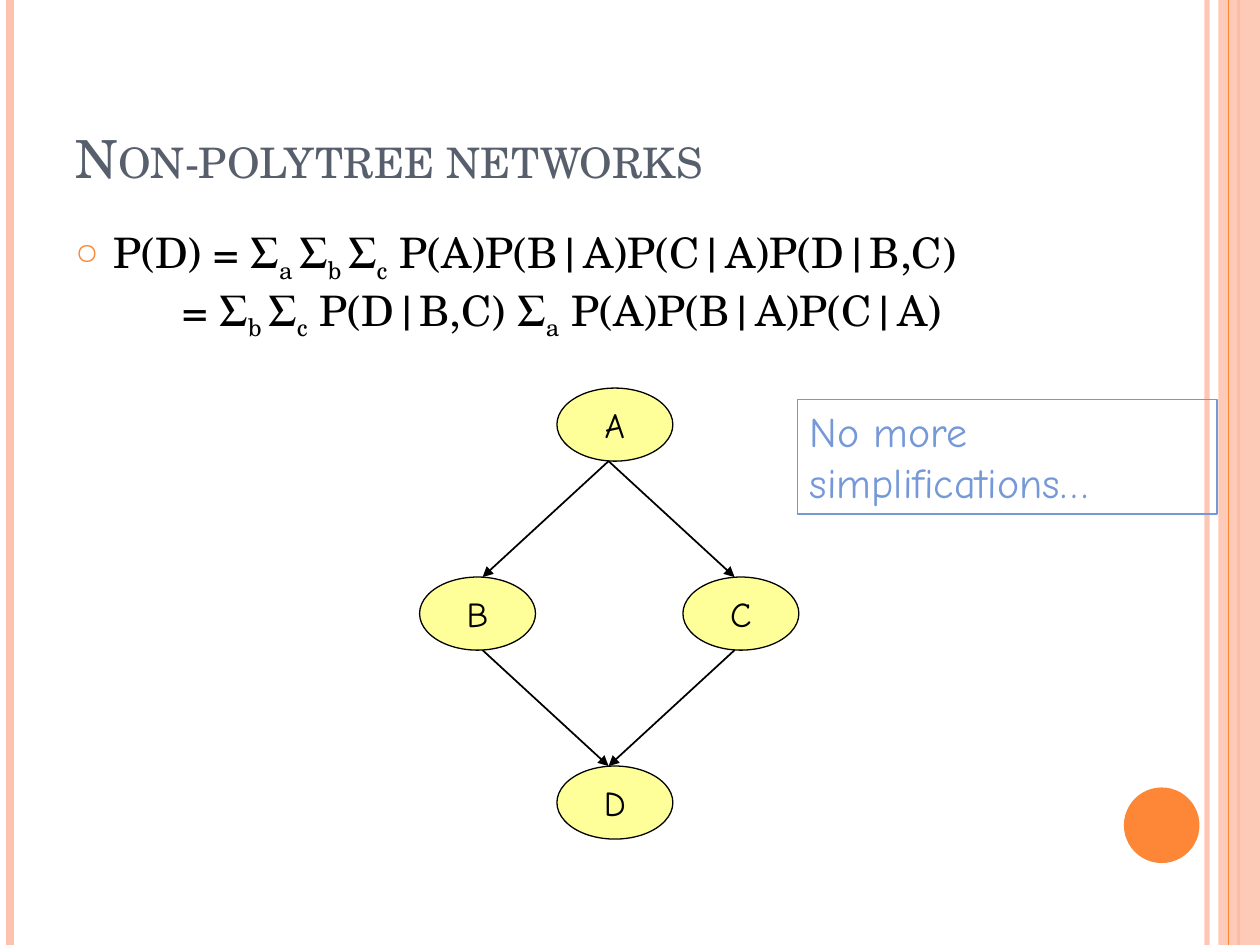
from dataclasses import dataclass

from lxml.etree import SubElement
from pptx import Presentation
from pptx.dml.color import RGBColor
from pptx.enum.shapes import MSO_CONNECTOR as Connector, MSO_SHAPE as Shape
from pptx.enum.text import MSO_ANCHOR as Anchor, PP_ALIGN as Align
from pptx.oxml.ns import qn
from pptx.util import Inches, Pt


@dataclass(frozen=True)
class Theme:
    """Colours, fonts and type sizes of the slide."""

    orange: str = "FE8637"
    peach: str = "FEC3AE"
    slate: str = "575F6D"
    black: str = "000000"
    yellow: str = "FFFF99"
    blue: str = "7598D9"
    serif: str = "TeX Gyre Schola"
    hand: str = "Comic Neue"
    title_size: int = 30
    body_size: int = 24
    node_size: int = 20


THEME = Theme()


def set_values(target, values):
    """Set each attribute of the target from a dict."""
    for name, value in values.items():
        setattr(target, name, value)


def add_element(parent, tag, **attributes):
    """Append a drawing element with the given attributes."""
    return SubElement(parent, qn(tag), attributes)


def set_alpha(fill_parent, percent):
    """Make the solid fill below an element partly transparent."""
    colour = next(fill_parent.iter(qn("a:srgbClr")))
    add_element(colour, "a:alpha", val=str(percent * 1000))


def add_span(para, text, font, size, colour):
    """Add a run of styled text."""
    span = para.add_run()
    span.text = text
    set_values(span.font, {"name": font, "size": Pt(size)})
    span.font.color.rgb = RGBColor.from_string(colour)
    return span


def add_frame(page, box, **values):
    """Add a wrapping text box and return its text frame."""
    frame = page.shapes.add_textbox(*map(Inches, box)).text_frame
    set_values(frame, {"word_wrap": True, **values})
    return frame


def add_line(page, start, end, colour, width):
    """Add a straight line without a shadow."""
    line = page.shapes.add_connector(Connector.STRAIGHT, *map(Inches, (*start, *end)))
    line.line.color.rgb = RGBColor.from_string(colour)
    line.line.width = Pt(width)
    add_element(line._element.spPr, "a:effectLst")
    return line


def add_shape(page, kind, box, fill=None, outline=None):
    """Add a flat preset shape with an optional fill and outline."""
    shape = page.shapes.add_shape(kind, *map(Inches, box))
    shape.shadow.inherit = False
    if fill:
        shape.fill.solid()
        shape.fill.fore_color.rgb = RGBColor.from_string(fill)
    else:
        shape.fill.background()
    if outline:
        shape.line.color.rgb = RGBColor.from_string(outline)
        shape.line.width = Pt(0.75)
    else:
        shape.line.fill.background()
    return shape


def add_decoration(page, box):
    """Draw the edge stripes and the orange disc."""
    left, top, width, height = box
    right, bottom = left + width, top + height

    def stripe(x, colour, weight):
        return add_line(page, (x, top), (x, bottom), colour, weight)

    set_alpha(stripe(right - 0.42, THEME.peach, 3).line._ln, 93)
    stripe(left + 0.08, THEME.peach, 4.5)
    stripe(right - 0.17, THEME.orange, 1.5)
    band = add_shape(page, Shape.RECTANGLE, (right - 0.33, top, 0.33, height), THEME.peach)
    set_alpha(band._element.spPr, 87)
    stripe(right - 0.25, THEME.orange, 0.75)
    add_shape(page, Shape.OVAL, (right - 1.08, bottom - 1.25, 0.6, 0.6), THEME.orange)


def add_title(page, box, text):
    """Write the title in small capitals at the foot of its box."""
    frame = add_frame(page, box, vertical_anchor=Anchor.BOTTOM)
    span = add_span(frame.paragraphs[0], text, THEME.serif, THEME.title_size, THEME.slate)
    span._r.get_or_add_rPr().set("cap", "small")


def add_formula(page, box, lines):
    """Write the bulleted formula, where text between tildes is subscript."""
    frame = add_frame(page, box)
    for index, (text, margin, indent) in enumerate(lines):
        para = frame.add_paragraph() if index else frame.paragraphs[0]
        props = para._p.get_or_add_pPr()
        props.set("marL", str(Inches(margin)))
        props.set("indent", str(Inches(indent)))
        if indent:
            colour = add_element(props, "a:buClr")
            add_element(colour, "a:srgbClr", val=THEME.orange)
            add_element(props, "a:buSzPct", val="70000")
            add_element(props, "a:buChar", char="○")
        for part, piece in enumerate(text.split("~")):
            span = add_span(para, piece, THEME.serif, THEME.body_size, THEME.black)
            if part % 2:
                span._r.get_or_add_rPr().set("baseline", "-25000")


def add_network(page, box):
    """Draw the diamond network of nodes and arrows."""
    left, top, width, height = box
    node_width, node_height = 0.92, 0.58
    row_gap = (height - node_height) / 2
    nodes = {"A": (1.09, 0), "B": (0, 1), "C": (width - node_width, 1), "D": (1.09, 2)}
    ports = {"A": 1.5, "B": 0.5, "C": 2.5, "D": 1.5}
    for name, (x, row) in nodes.items():
        place = (left + x, top + row * row_gap, node_width, node_height)
        node = add_shape(page, Shape.OVAL, place, THEME.yellow, THEME.black)
        frame = node.text_frame
        set_values(frame, {"word_wrap": False, "vertical_anchor": Anchor.MIDDLE})
        para = frame.paragraphs[0]
        para.alignment = Align.CENTER
        add_span(para, name, THEME.hand, THEME.node_size, THEME.black)
    for tail, head in ("AB", "AC", "CD", "BD"):
        start = left + ports[tail], top + nodes[tail][1] * row_gap + node_height
        end = left + ports[head], top + nodes[head][1] * row_gap
        arrow = add_line(page, start, end, THEME.black, 1)
        add_element(arrow.line._ln, "a:tailEnd", type="triangle")


def add_note(page, box, text):
    """Write the outlined remark."""
    frame = add_shape(page, Shape.RECTANGLE, box, outline=THEME.blue).text_frame
    set_values(frame, {"word_wrap": True, "vertical_anchor": Anchor.TOP})
    para = frame.paragraphs[0]
    para.alignment = Align.LEFT
    add_span(para, text, THEME.hand, THEME.body_size, THEME.blue)


def main():
    """Build and save the slide."""
    deck = Presentation()
    set_values(deck, {"slide_width": Inches(10), "slide_height": Inches(7.5)})
    page = deck.slides.add_slide(deck.slide_layouts[6])
    add_decoration(page, (0, 0, 10, 7.5))
    add_title(page, (0.5, 0.3, 8.17, 1.25), "Non-polytree networks")
    add_formula(page, (0.5, 1.75, 8.17, 5.33), [
        ("P(D) = Σ~a ~Σ~b ~Σ~c~ P(A)P(B|A)P(C|A)P(D|B,C)", 0.3, -0.3),
        ("= Σ~b ~Σ~c~ P(D|B,C) Σ~a~ P(A)P(B|A)P(C|A)", 0.85, 0),
    ])
    add_network(page, (3.33, 3.08, 3.01, 3.58))
    add_note(page, (6.33, 3.17, 3.33, 0.91), "No more simplifications…")
    deck.save("out.pptx")


if __name__ == "__main__":
    main()
